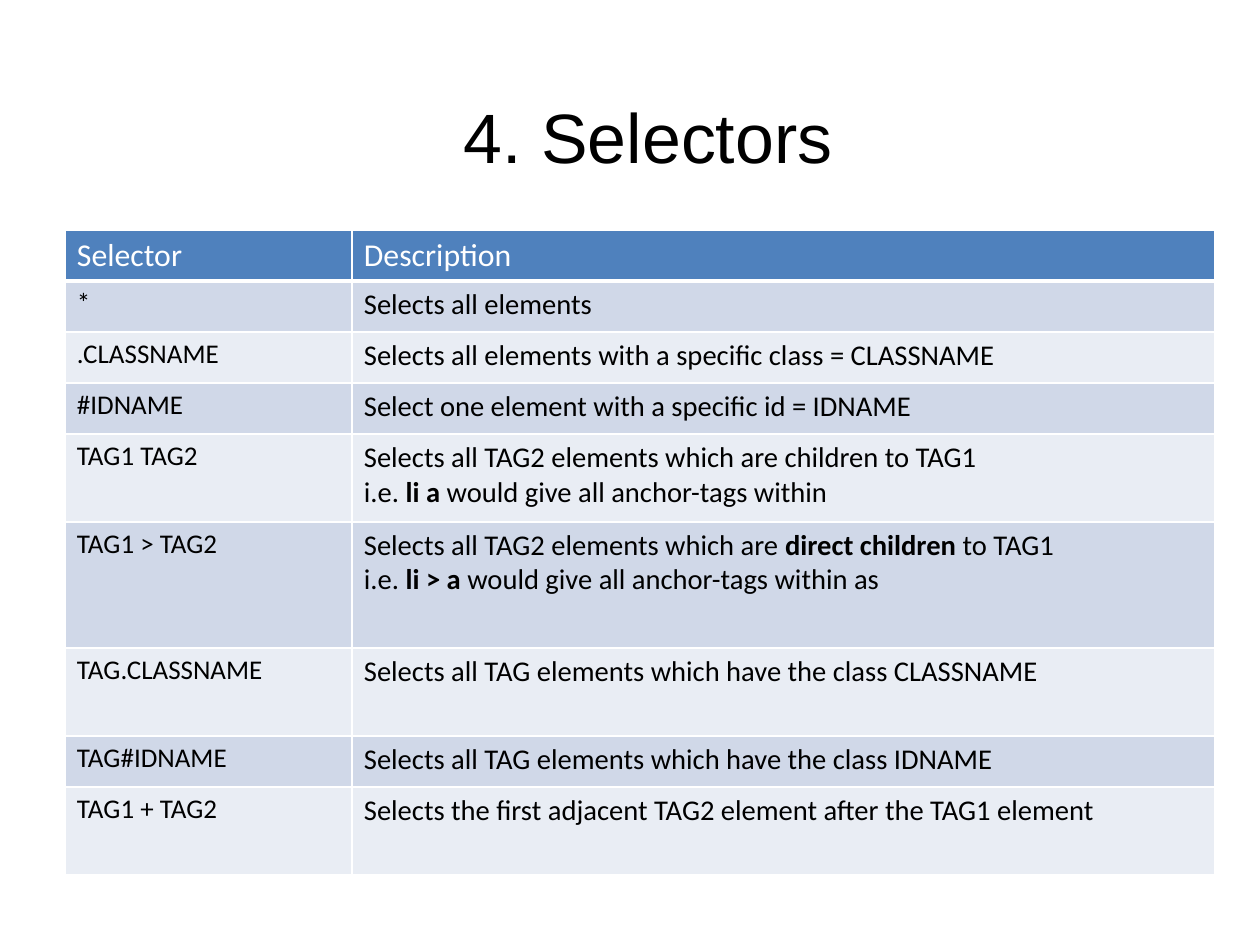
from dataclasses import dataclass

from lxml.etree import SubElement
from pptx import Presentation
from pptx.dml.color import RGBColor
from pptx.enum.text import MSO_ANCHOR, PP_ALIGN
from pptx.oxml.ns import qn
from pptx.util import Pt

EMU_PER_PX = 8000


def px(length):
    return length * EMU_PER_PX


@dataclass(frozen=True)
class Theme:
    title_font: str = "Arial"
    table_font: str = "Calibri"
    title_size: int = 44
    header_size: int = 20
    selector_size: int = 17
    description_size: int = 18
    text: str = "000000"
    white: str = "FFFFFF"
    header_fill: str = "4F81BD"
    row_fills: tuple = ("D0D8E8", "E9EDF4")
    border_width: int = 1
    header_border_width: int = 3


class SlideBuilder:
    def __init__(self, slide, theme):
        self.slide = slide
        self.theme = theme

    def add_run(self, paragraph, text, font, size, color, bold=False):
        run = paragraph.add_run()
        run.text = text
        run.font.name = font
        run.font.size = Pt(size)
        run.font.bold = bold
        run.font.color.rgb = RGBColor.from_string(color)

    def add_title(self, text, left, top, width, height):
        shape = self.slide.shapes.add_textbox(px(left), px(top), px(width), px(height))
        frame = shape.text_frame
        frame.word_wrap = True
        frame.vertical_anchor = MSO_ANCHOR.MIDDLE
        frame.margin_left = frame.margin_right = 0
        frame.margin_top = frame.margin_bottom = 0
        paragraph = frame.paragraphs[0]
        paragraph.alignment = PP_ALIGN.CENTER
        self.add_run(paragraph, text, self.theme.title_font,
                     self.theme.title_size, self.theme.text)

    def add_borders(self, cell, bottom_width):
        properties = cell._tc.get_or_add_tcPr()
        for side in ("L", "R", "T", "B"):
            width = bottom_width if side == "B" else self.theme.border_width
            line = SubElement(properties, qn(f"a:ln{side}"), w=str(Pt(width)))
            fill = SubElement(line, qn("a:solidFill"))
            SubElement(fill, qn("a:srgbClr"), val=self.theme.white)

    def fill_cell(self, cell, lines, size, color, fill, bottom_width):
        self.add_borders(cell, bottom_width)
        cell.fill.solid()
        cell.fill.fore_color.rgb = RGBColor.from_string(fill)
        cell.margin_left = cell.margin_right = px(12)
        cell.margin_top = cell.margin_bottom = px(6)
        frame = cell.text_frame
        for index, line in enumerate(lines):
            paragraph = frame.add_paragraph() if index else frame.paragraphs[0]
            # Every second part of a line is bold
            for part, text in enumerate(line):
                self.add_run(paragraph, text, self.theme.table_font, size, color,
                             bold=part % 2 == 1)

    def add_table(self, header, rows, left, top, column_widths, header_height):
        theme = self.theme
        heights = [header_height] + [height for height, _, _ in rows]
        table = self.slide.shapes.add_table(
            len(heights), len(column_widths), px(left), px(top),
            px(sum(column_widths)), px(sum(heights))).table
        for column, width in zip(table.columns, column_widths):
            column.width = px(width)
        for row, height in zip(table.rows, heights):
            row.height = px(height)

        for column, text in enumerate(header):
            self.fill_cell(table.cell(0, column), [[text]], theme.header_size,
                           theme.white, theme.header_fill, theme.header_border_width)
        for index, (_, selector, description) in enumerate(rows):
            fill = theme.row_fills[index % 2]
            contents = (([[selector]], theme.selector_size),
                        (description, theme.description_size))
            for column, (lines, size) in enumerate(contents):
                self.fill_cell(table.cell(index + 1, column), lines, size,
                               theme.text, fill, theme.border_width)


# Row height, selector, description lines
SHORT, MEDIUM, TALL = 51, 88, 126
SELECTORS = [
    (SHORT, "*", [["Selects all elements"]]),
    (SHORT, ".CLASSNAME", [["Selects all elements with a specific class = CLASSNAME"]]),
    (SHORT, "#IDNAME", [["Select one element with a specific id = IDNAME"]]),
    (MEDIUM, "TAG1 TAG2", [
        ["Selects all TAG2 elements which are children to TAG1"],
        ["i.e. ", "li a ", "would give all anchor-tags within"]]),
    (TALL, "TAG1 > TAG2", [
        ["Selects all TAG2 elements which are ", "direct children ", "to TAG1"],
        ["i.e. ", "li > a", " would give all anchor-tags within as"]]),
    (MEDIUM, "TAG.CLASSNAME", [["Selects all TAG elements which have the class CLASSNAME"]]),
    (SHORT, "TAG#IDNAME", [["Selects all TAG elements which have the class IDNAME"]]),
    (MEDIUM, "TAG1 + TAG2", [
        ["Selects the first adjacent TAG2 element after the TAG1 element"]]),
]


def main():
    presentation = Presentation()
    presentation.slide_width = px(1260)
    presentation.slide_height = px(945)
    slide = presentation.slides.add_slide(presentation.slide_layouts[6])
    builder = SlideBuilder(slide, Theme())

    # Selector table
    builder.add_table(("Selector", "Description"), SELECTORS, left=65, top=230,
                      column_widths=(287, 863), header_height=SHORT)

    # Title
    builder.add_title("4. Selectors", left=82, top=57, width=1133, height=158)

    presentation.save("out.pptx")


if __name__ == "__main__":
    main()
